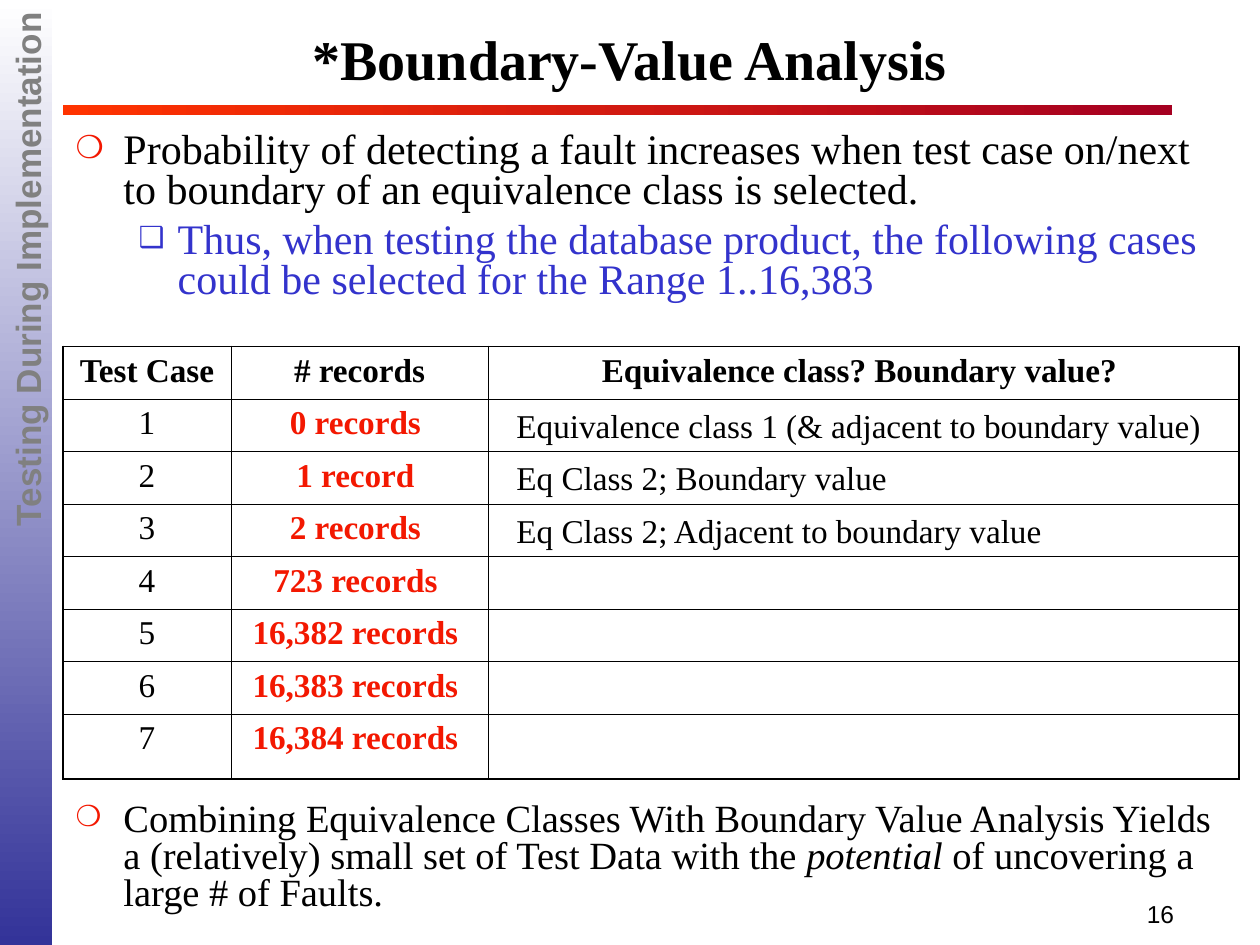
from lxml.etree import SubElement
from pptx import Presentation
from pptx.dml.color import RGBColor
from pptx.enum.shapes import MSO_SHAPE
from pptx.enum.text import MSO_ANCHOR, MSO_AUTO_SIZE, PP_ALIGN
from pptx.oxml.ns import qn
from pptx.util import Inches, Pt

BLACK = RGBColor(0x00, 0x00, 0x00)
WHITE = RGBColor(0xFF, 0xFF, 0xFF)
GRAY = RGBColor(0x80, 0x80, 0x80)
INDIGO = RGBColor(0x33, 0x33, 0x99)
BLUE = RGBColor(0x33, 0x33, 0xCC)
RED = RGBColor(0xF3, 0x18, 0x01)
ORANGE = RGBColor(0xFF, 0x33, 0x00)
CRIMSON = RGBColor(0xA5, 0x00, 0x21)

prs = Presentation()
prs.slide_width, prs.slide_height = Inches(10), Inches(7.5)
s = prs.slides.add_slide(prs.slide_layouts[1])
U = prs.slide_width / 120  # grid of 120 columns by 90 rows


def grid(*units):
    return [round(n * U) for n in units]


def write(p, text, size=19, color=BLACK, bold=False, italic=False,
          font="Times New Roman", align=PP_ALIGN.LEFT):
    p.alignment = align
    r = p.add_run()
    r.text = text
    r.font.name, r.font.size = font, Pt(size)
    r.font.bold, r.font.italic = bold, italic
    r.font.color.rgb = color


# Sidebar and rule under the title
for box, angle, colors in [((0, 0, 5, 90), 270, (WHITE, INDIGO)),
                           ((6, 10, 105.6, 1), 0, (ORANGE, CRIMSON))]:
    sp = s.shapes.add_shape(MSO_SHAPE.RECTANGLE, *grid(*box))
    sp.shadow.inherit = False
    sp.line.fill.background()
    sp.fill.gradient()
    sp.fill.gradient_angle = angle
    for stop, color in zip(sp.fill.gradient_stops, colors):
        stop.color.rgb = color

# Title
title = s.shapes.title
title.left, title.top, title.width, title.height = grid(5, 2, 110, 7)
title.text_frame.vertical_anchor = MSO_ANCHOR.MIDDLE
title.text_frame.auto_size = MSO_AUTO_SIZE.NONE
write(title.text_frame.paragraphs[0], "*Boundary-Value Analysis", size=32,
      bold=True, align=PP_ALIGN.CENTER)

# Bullets; the space before the last one leaves room for the table
body = s.placeholders[1]
body.left, body.top, body.width, body.height = grid(6, 12, 112, 76)
tf = body.text_frame
tf.auto_size = MSO_AUTO_SIZE.NONE
bullets = [
    (0, 0, "❍", RED, 75, 24, BLACK,
     ["Probability of detecting a fault increases when test case on/next to "
      "boundary of an equivalence class is selected."]),
    (1, 5.2, "❑", BLUE, 69, 24, BLUE,
     ["Thus, when testing the database product, the following cases could be "
      "selected for the Range 1..16,383"]),
    (0, 286, "❍", RED, 75, 22, BLACK,
     ["Combining Equivalence Classes With Boundary Value Analysis Yields a "
      "(relatively) small set of Test Data with the ", "potential",
      " of uncovering a large # of Faults."]),
]
for i, (level, before, char, mark, share, size, color, parts) in enumerate(bullets):
    p = tf.paragraphs[0] if i == 0 else tf.add_paragraph()
    p.level = level
    pPr = p._p.get_or_add_pPr()
    margin, indent = [(0.38, -0.38), (0.81, -0.31)][level]
    pPr.set("marL", str(Inches(margin)))
    pPr.set("indent", str(Inches(indent)))
    SubElement(SubElement(pPr, qn("a:buClr")), qn("a:srgbClr"), val=str(mark))
    SubElement(pPr, qn("a:buSzPct"), val=str(share * 1000))
    SubElement(pPr, qn("a:buChar"), char=char)
    p.line_spacing = 0.8
    p.space_before = Pt(before)
    for part in parts:
        write(p, part, size=size, color=color, italic=part == "potential")

# Test case table
header = ["Test Case", "# records", "Equivalence class? Boundary value? "]
records = ["0 records ", "1 record ", "2 records ", "723 records ",
           "16,382 records ", "16,383 records ", "16,384 records "]
rows = [header] + [[str(n), text, ""] for n, text in enumerate(records, 1)]
widths = grid(16, 24.5, 71.5)
heights = grid(*[5] * 7, 6.2)
table = s.shapes.add_table(len(rows), len(widths), *grid(6, 33, 112, 41.2)).table
table.first_row = table.horz_banding = False
for column, width in zip(table.columns, widths):
    column.width = width
for row, height in zip(table.rows, heights):
    row.height = height
for i, row in enumerate(rows):
    for j, text in enumerate(row):
        cell = table.cell(i, j)
        if text:
            write(cell.text_frame.paragraphs[0], text, align=PP_ALIGN.CENTER,
                  bold=i == 0 or j == 1, color=RED if i and j == 1 else BLACK)
        tcPr = cell._tc.get_or_add_tcPr()
        outer = {"L": j == 0, "R": j == len(row) - 1,
                 "T": i == 0, "B": i == len(rows) - 1}
        for side, is_outer in outer.items():
            ln = SubElement(tcPr, qn(f"a:ln{side}"), w=str(Pt(1.08 if is_outer else 0.45)))
            SubElement(SubElement(ln, qn("a:solidFill")), qn("a:srgbClr"), val=str(BLACK))
        cell.fill.background()

# Answers over the table, page number and sidebar label
answers = ["Equivalence class 1 (& adjacent to boundary value)",
           "Eq Class 2; Boundary value",
           "Eq Class 2; Adjacent to boundary value"]
labels = [((48, 38 + 5 * n, 68, 5), 0, text, {}) for n, text in enumerate(answers)]
labels += [
    ((100, 85, 13, 3), 0, "16",
     dict(size=14, font="Arial", align=PP_ALIGN.RIGHT)),
    ((-42.4, 42.4, 90, 5.2), 270, "Testing During Implementation",
     dict(size=20, font="Arial", color=GRAY, bold=True, align=PP_ALIGN.RIGHT)),
]
for box, rotation, text, style in labels:
    sp = s.shapes.add_textbox(*grid(*box))
    sp.rotation = rotation
    sp.text_frame.word_wrap = True
    write(sp.text_frame.paragraphs[0], text, **style)

prs.save("out.pptx")
